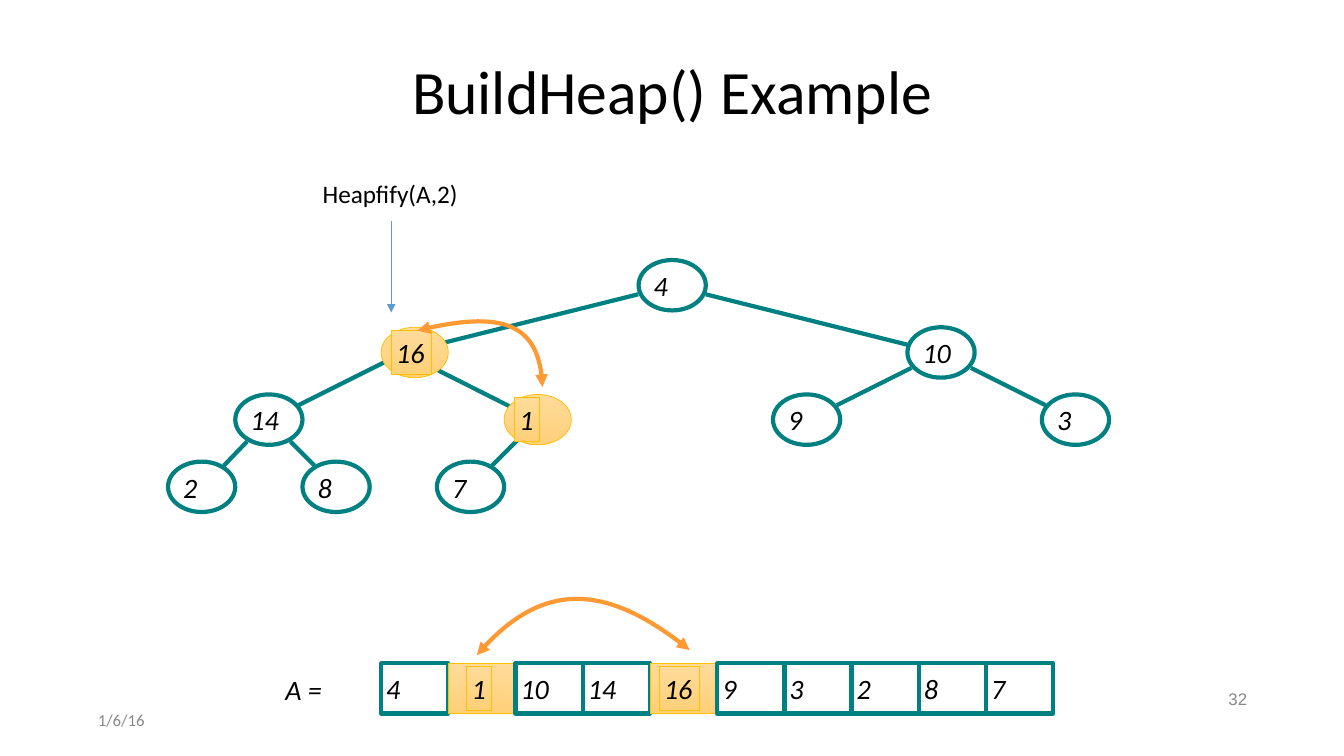
from pptx import Presentation
from pptx.dml.color import RGBColor
from pptx.enum.shapes import MSO_CONNECTOR, MSO_SHAPE
from pptx.enum.text import MSO_ANCHOR, MSO_AUTO_SIZE, PP_ALIGN
from pptx.oxml.ns import qn
from pptx.util import Inches, Pt
from lxml.etree import SubElement

COLORS = {"teal": "008080", "gold": "FFC000", "gold_top": "FFDB9B",
          "gold_bottom": "FFD078", "orange": "FF9933", "blue": "5B9BD5",
          "black": "000000", "gray": "888888", "white": "FFFFFF"}
STEP = 2 / 3  # width of a node or cell, and spacing of the grid
NODE_HEIGHT = 0.5
TREE_TOP, ARRAY_LEFT, ARRAY_TOP = 2.58, 3.78, 6.58

# value, column of the centre, level, highlighted
NODES = [("4", 10, 0, False), ("10", 14, 1, False), ("14", 4, 2, False),
         ("9", 12, 2, False), ("3", 16, 2, False), ("2", 3, 3, False),
         ("8", 5, 3, False), ("7", 7, 3, False),
         ("1", 8, 2, True), ("16", 6.17, 1, True)]
EDGES = [((6.33, 2.92), (4, 3.5)), ((4, 3.5), (2.96, 4.02)),
         ((2.45, 4.38), (2.22, 4.62)), ((2.88, 4.38), (3.12, 4.62)),
         ((4, 3.5), (5.33, 4.17)), ((5.33, 4.17), (4.88, 4.62)),
         ((7, 2.92), (9, 3.42)), ((9.63, 3.65), (10.37, 4.02)),
         ((9.04, 3.65), (8.3, 4.02))]
ARRAY = ["4", "1", "10", "14", "16", "9", "3", "2", "8", "7"]
HIGHLIGHT_INDENT = {1: 0.18, 4: 0.09}  # array index: text indent


def color(name):
    return RGBColor.from_string(COLORS[name])


class HeapSlide:
    def __init__(self, slide, font="Calibri"):
        self.slide = slide
        self.shapes = slide.shapes
        self.font = font

    def set_text(self, shape, text, size=20, ink="black", italic=False,
                 align=PP_ALIGN.LEFT, anchor=MSO_ANCHOR.MIDDLE, wrap=False,
                 spacing=None, font=None):
        frame = shape.text_frame
        frame.word_wrap = wrap
        frame.auto_size = MSO_AUTO_SIZE.NONE if wrap else MSO_AUTO_SIZE.SHAPE_TO_FIT_TEXT
        frame.vertical_anchor = anchor
        frame.margin_left = frame.margin_right = Inches(0.05)
        frame.margin_top = frame.margin_bottom = Inches(0.05)
        paragraph = frame.paragraphs[0]
        paragraph.alignment = align
        if spacing:
            paragraph.line_spacing = spacing
        run = paragraph.add_run()
        run.text = text
        run.font.name = font or self.font
        run.font.size = Pt(size)
        run.font.italic = italic
        run.font.color.rgb = color(ink)

    def text(self, box, text, shapes=None, **style):
        shape = (shapes or self.shapes).add_textbox(*map(Inches, box))
        self.set_text(shape, text, **style)

    def outline(self, kind, box, highlighted, shapes):
        shape = shapes.add_shape(kind, *map(Inches, box))
        shape.shadow.inherit = False
        if highlighted:
            shape.fill.gradient()
            shape.fill.gradient_angle = 270
            for stop, name in zip(shape.fill.gradient_stops, ("gold_top", "gold_bottom")):
                stop.color.rgb = color(name)
        else:
            shape.fill.solid()
            shape.fill.fore_color.rgb = color("white")
        shape.line.color.rgb = color("gold" if highlighted else "teal")
        shape.line.width = Pt(0.5 if highlighted else 3)
        return shape

    def value_box(self, kind, left, top, value, indent, highlighted):
        """Group an outline with its value; a highlighted value has its own frame."""
        shapes = self.shapes.add_group_shape().shapes
        self.outline(kind, (left, top, STEP, NODE_HEIGHT), highlighted, shapes)
        label_box = (left + indent, top + 0.03, 0.25 if len(value) == 1 else 0.4, 0.44)
        if highlighted:
            label = self.outline(MSO_SHAPE.RECTANGLE, label_box, True, shapes)
            self.set_text(label, value, italic=True)
        else:
            self.text(label_box, value, shapes, italic=True)

    def line(self, start, end, name="teal", width=3, arrows=()):
        connector = self.shapes.add_connector(
            MSO_CONNECTOR.STRAIGHT, *map(Inches, start + end))
        self.stroke(connector, name, width, arrows)
        SubElement(connector.element.spPr, qn("a:effectLst"))

    def stroke(self, shape, name, width, arrows):
        shape.line.color.rgb = color(name)
        shape.line.width = Pt(width)
        for arrow in arrows:
            SubElement(shape.element.spPr.find(qn("a:ln")), qn("a:" + arrow), type="triangle")

    def swap_arrow(self, start, controls, end, peak):
        """Draw a two-headed Bezier curve; peak is its highest point."""
        builder = self.shapes.build_freeform(Inches(start[0]), Inches(start[1]))
        builder.add_line_segments(
            [(Inches(x), Inches(y)) for x, y in (peak, end)], close=False)
        shape = builder.convert_to_shape()
        shape.shadow.inherit = False
        shape.fill.background()
        self.stroke(shape, "orange", 3, ("headEnd", "tailEnd"))
        outline = next(shape.element.iter(qn("a:path")))
        for segment in outline.findall(qn("a:lnTo")):
            outline.remove(segment)
        curve = SubElement(outline, qn("a:cubicBezTo"))
        for x, y in (*controls, end):
            SubElement(curve, qn("a:pt"), x=str(Inches(x) - shape.left),
                       y=str(Inches(y) - shape.top))


def draw_nodes(heap, highlighted):
    for value, column, level, marked in NODES:
        if marked == highlighted:
            heap.value_box(MSO_SHAPE.OVAL, (column - 0.5) * STEP,
                           TREE_TOP + level * STEP, value, 0.1, marked)


def main():
    presentation = Presentation()
    presentation.slide_width, presentation.slide_height = Inches(13.33), Inches(7.5)
    heap = HeapSlide(presentation.slides.add_slide(presentation.slide_layouts[6]))

    heap.text((0.92, 0.4, 11.5, 1.07), "BuildHeap() Example", size=44,
              align=PP_ALIGN.CENTER, wrap=True, spacing=0.9)
    heap.text((0.92, 7, 3, 0.29), "1/6/16", size=12, ink="gray", wrap=True)
    heap.text((9.42, 6.8, 3, 0.29), "32", size=12, ink="gray", font="Arial",
              align=PP_ALIGN.RIGHT, wrap=True, spacing=0.9)

    draw_nodes(heap, highlighted=False)
    for start, end in EDGES:
        heap.line(start, end)

    for index, value in enumerate(ARRAY):
        heap.value_box(MSO_SHAPE.RECTANGLE, ARRAY_LEFT + index * STEP, ARRAY_TOP, value,
                       HIGHLIGHT_INDENT.get(index, 0), index in HIGHLIGHT_INDENT)
    heap.text((2.78, 6.62, 0.48, 0.43), "A =", italic=True)

    draw_nodes(heap, highlighted=True)
    heap.swap_arrow((4.14, 3.28), [(4.96, 3.07), (5.37, 3.26)], (5.38, 3.84), (4.75, 3.2))
    heap.swap_arrow((4.73, 6.5), [(5.32, 5.8), (6.02, 5.78)], (6.84, 6.45), (5.7, 5.96))

    heap.text((3.15, 1.72, 1.45, 0.41), "Heapfify(A,2)", size=18, anchor=MSO_ANCHOR.TOP)
    heap.line((3.88, 2.19), (3.88, 3.1), "blue", 1, ("tailEnd",))
    presentation.save("out.pptx")


if __name__ == "__main__":
    main()
